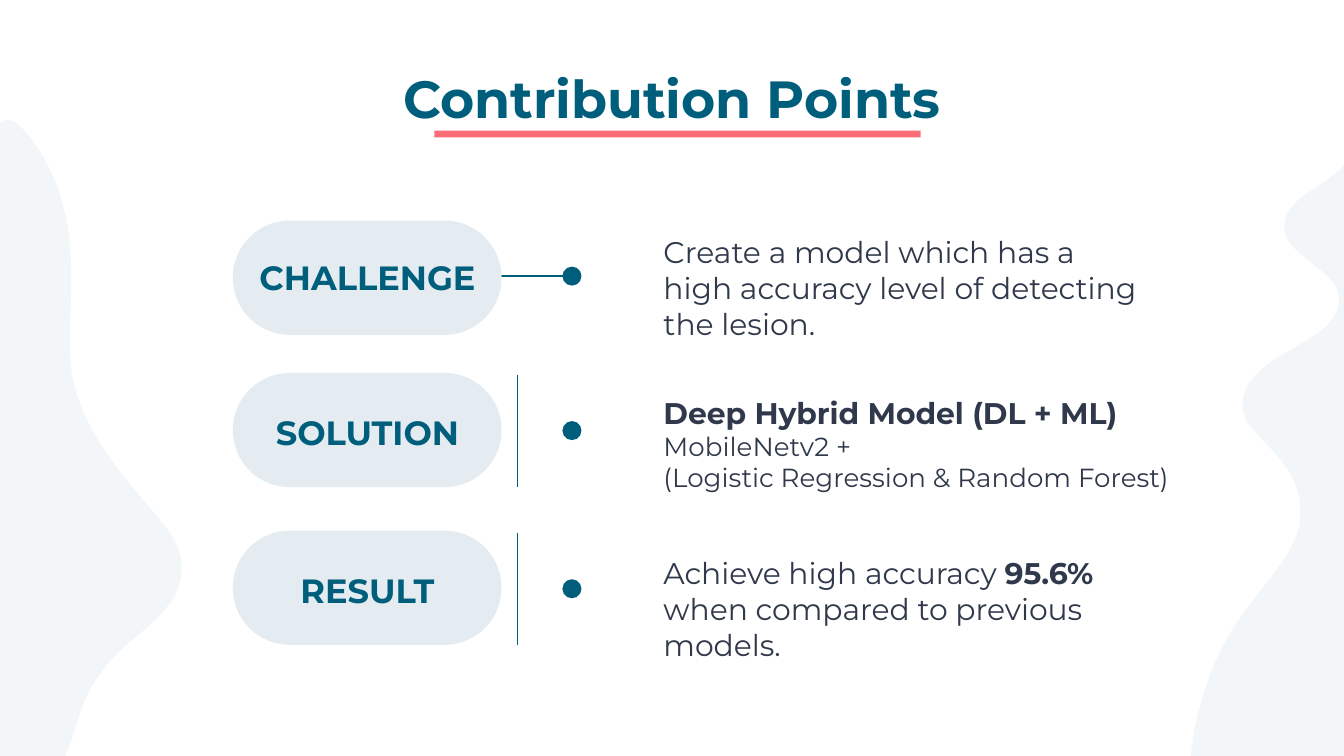
import pptx
import pptx.dml.color
import pptx.enum.shapes
import pptx.enum.text
import pptx.oxml
import pptx.oxml.ns
import pptx.util
from pptx.dml.color import RGBColor
from pptx.util import Cm

TEAL = RGBColor(0x00, 0x5E, 0x7D)
CORAL = RGBColor(0xFC, 0x6D, 0x78)
SLATE = RGBColor(0x30, 0x39, 0x4B)
PILL_GREY = RGBColor(0xE4, 0xEC, 0xF1)
BLOB_GREY = RGBColor(0xF2, 0xF6, 0xF8)

FONT = "Montserrat"
SHAPES = pptx.enum.shapes.MSO_SHAPE
CENTER = pptx.enum.text.PP_ALIGN.CENTER
BLOB_UNIT = 2.54  # cm per outline unit

# Each outline: a start point, then Bezier curves (two controls and an end)
LEFT_BLOB = ((-0.17, 3.76), [
    (-0.17, 4.28, -0.15, 4.8, -0.11, 5.31), (-0.1, 5.43, -0.09, 5.54, -0.05, 5.65),
    (0, 5.75, 0.08, 5.84, 0.18, 5.85), (0.31, 5.87, 0.43, 5.75, 0.49, 5.62),
    (0.55, 5.48, 0.58, 5.33, 0.64, 5.19), (0.72, 5.02, 0.85, 4.87, 0.99, 4.76),
    (1.08, 4.68, 1.17, 4.61, 1.24, 4.52), (1.31, 4.44, 1.35, 4.34, 1.35, 4.23),
    (1.35, 4.21, 1.35, 4.2, 1.35, 4.18), (1.34, 4.07, 1.27, 3.97, 1.2, 3.88),
    (0.94, 3.57, 0.59, 3.2, 0.53, 2.75), (0.53, 2.74, 0.53, 2.74, 0.53, 2.73),
    (0.52, 2.65, 0.52, 2.56, 0.52, 2.48), (0.52, 2.35, 0.53, 2.22, 0.53, 2.09),
    (0.53, 1.85, 0.51, 1.62, 0.43, 1.4), (0.38, 1.24, 0.04, 0.61, -0.05, 1.04),
    (-0.1, 1.27, -0.1, 1.5, -0.11, 1.73), (-0.14, 2.41, -0.17, 3.09, -0.17, 3.76),
])
RIGHT_BLOB = ((10.59, 0.38), [
    (10.51, 0.41, 10.44, 0.44, 10.38, 0.5), (10.2, 0.66, 10.31, 0.78, 10.15, 1.04),
    (9.94, 1.4, 9.61, 1.42, 9.56, 1.64), (9.5, 1.92, 10.01, 1.99, 9.96, 2.27),
    (9.91, 2.55, 9.38, 2.61, 9.26, 2.92), (9.15, 3.23, 9.61, 3.31, 9.67, 3.73),
    (9.74, 4.19, 9.21, 4.39, 8.98, 5.09), (8.93, 5.24, 8.66, 6.04, 9.12, 6.38),
    (9.59, 6.72, 10.59, 6.37, 11.33, 6.1), (11.35, 6.09, 11.38, 6.08, 11.43, 6.07),
    (11.59, 6.01, 13.01, 5.47, 12.96, 5.09), (12.93, 4.89, 12.52, 4.91, 12.47, 4.66),
    (12.44, 4.46, 12.69, 4.36, 12.76, 4.01), (12.82, 3.74, 12.67, 3.72, 12.71, 3.46),
    (12.78, 2.98, 13.35, 2.87, 13.33, 2.41), (13.33, 2.34, 13.32, 2.29, 13.3, 2.24),
    (13.19, 1.98, 12.84, 1.94, 12.69, 1.5), (12.48, 0.91, 12.95, 0.4, 12.66, 0.24),
    (12.49, 0.15, 12.34, 0.32, 11.74, 0.31), (11.4, 0.31, 11.32, 0.26, 11.01, 0.29),
    (10.87, 0.31, 10.72, 0.33, 10.59, 0.38),
])

# Rows: label, marker centre, pill top, text top, width and height (cm),
# then paragraphs of (text, size, bold)
ROWS = [
    ("CHALLENGE", 5.22, 4.17, 4.17, 9.55, 2.39, [
        [("Create a model which has a high accuracy level of detecting the lesion.", 16, False)],
    ]),
    ("SOLUTION", 8.14, 7.05, 7.21, 10.16, 2.39, [
        [("Deep Hybrid Model (DL + ML)", 16, True)],
        [("MobileNetv2 +", 14, False)],
        [("(Logistic Regression & Random Forest)", 14, False)],
    ]),
    ("RESULT", 11.13, 10.03, 10.24, 10.16, 2.26, [
        [("Achieve high accuracy ", 16, False), ("95.6%", 16, True),
         (" when compared to previous models.", 16, False)],
    ]),
]


def paint(shape, color):
    shape.shadow.inherit = False
    shape.fill.solid()
    shape.fill.fore_color.rgb = color
    shape.line.fill.background()


def add_solid(page, kind, left, top, width, height, color):
    shape = page.shapes.add_shape(kind, Cm(left), Cm(top), Cm(width), Cm(height))
    paint(shape, color)
    return shape


def blob_point(x, y):
    return Cm(x * BLOB_UNIT), Cm(y * BLOB_UNIT)


def add_blob(page, start, curves):
    points = [blob_point(*curve[i:i + 2]) for curve in curves for i in (0, 2, 4)]
    builder = page.shapes.build_freeform(*blob_point(*start))
    builder.add_line_segments(points, close=True)
    shape = builder.convert_to_shape()
    paint(shape, BLOB_GREY)

    # Turn every three straight segments into one Bezier curve
    name = pptx.oxml.ns.qn
    segments = list(shape._element.iter(name("a:lnTo")))
    for i in range(0, len(segments) - 2, 3):
        curve = segments[i].makeelement(name("a:cubicBezTo"))
        segments[i].addprevious(curve)
        for segment in segments[i:i + 3]:
            curve.append(segment[0])
            segment.getparent().remove(segment)


def add_line(page, x1, y1, x2, y2):
    line = page.shapes.add_connector(
        pptx.enum.shapes.MSO_CONNECTOR.STRAIGHT, Cm(x1), Cm(y1), Cm(x2), Cm(y2))
    line.line.color.rgb = TEAL
    line.line.width = pptx.util.Pt(0.75)
    line._element.spPr.append(pptx.oxml.parse_xml(
        '<a:effectLst xmlns:a="http://schemas.openxmlformats.org/drawingml/2006/main"/>'))


def add_span(para, text, *, size, bold, color):
    span = para.add_run()
    span.text = text
    span.font.name = FONT
    span.font.size = pptx.util.Pt(size)
    span.font.bold = bold
    span.font.color.rgb = color


def add_text(page, paragraphs, *, left, top, width, height, color, align=None):
    box = page.shapes.add_textbox(Cm(left), Cm(top), Cm(width), Cm(height))
    frame = box.text_frame
    frame.word_wrap = True
    frame.margin_left = frame.margin_right = Cm(0.25)
    frame.margin_top = frame.margin_bottom = Cm(0.25)
    for index, spans in enumerate(paragraphs):
        para = frame.paragraphs[0] if index == 0 else frame.add_paragraph()
        para.alignment = align
        for text, size, bold in spans:
            add_span(para, text, size=size, bold=bold, color=color)


def add_row(page, label, middle, pill_top, top, width, height, paragraphs):
    # Marker: the first row has a link, the others a divider
    if label == "CHALLENGE":
        add_line(page, 9.22, middle, 10.85, middle)
    else:
        add_line(page, 9.78, middle - 1.06, 9.78, middle + 1.06)
    add_solid(page, SHAPES.OVAL, 10.63, middle - 0.18, 0.36, 0.36, TEAL)

    # Pill and its label
    pill = add_solid(page, SHAPES.ROUNDED_RECTANGLE, 4.4, pill_top, 5.08, 2.16, PILL_GREY)
    pill.adjustments[0] = 0.5
    add_text(page, [[(label, 18, True)]], left=4.57, top=middle - 0.61, width=4.75,
             height=1.24, color=TEAL, align=CENTER)

    # Description
    add_text(page, paragraphs, left=12.29, top=top, width=width, height=height, color=SLATE)


def main():
    deck = pptx.Presentation()
    deck.slide_width, deck.slide_height = Cm(25.4), Cm(14.29)
    page = deck.slides.add_slide(deck.slide_layouts[6])

    # Background blobs
    add_blob(page, *LEFT_BLOB)
    add_blob(page, *RIGHT_BLOB)

    # Title with underline
    add_solid(page, SHAPES.RECTANGLE, 8.21, 2.47, 9.19, 0.13, CORAL)
    add_text(page, [[("Contribution Points", 28, True)]], left=2, top=1, width=21.4,
             height=1.6, color=TEAL, align=CENTER)

    # Contribution rows
    for row in ROWS:
        add_row(page, *row)

    deck.save("out.pptx")


if __name__ == "__main__":
    main()
